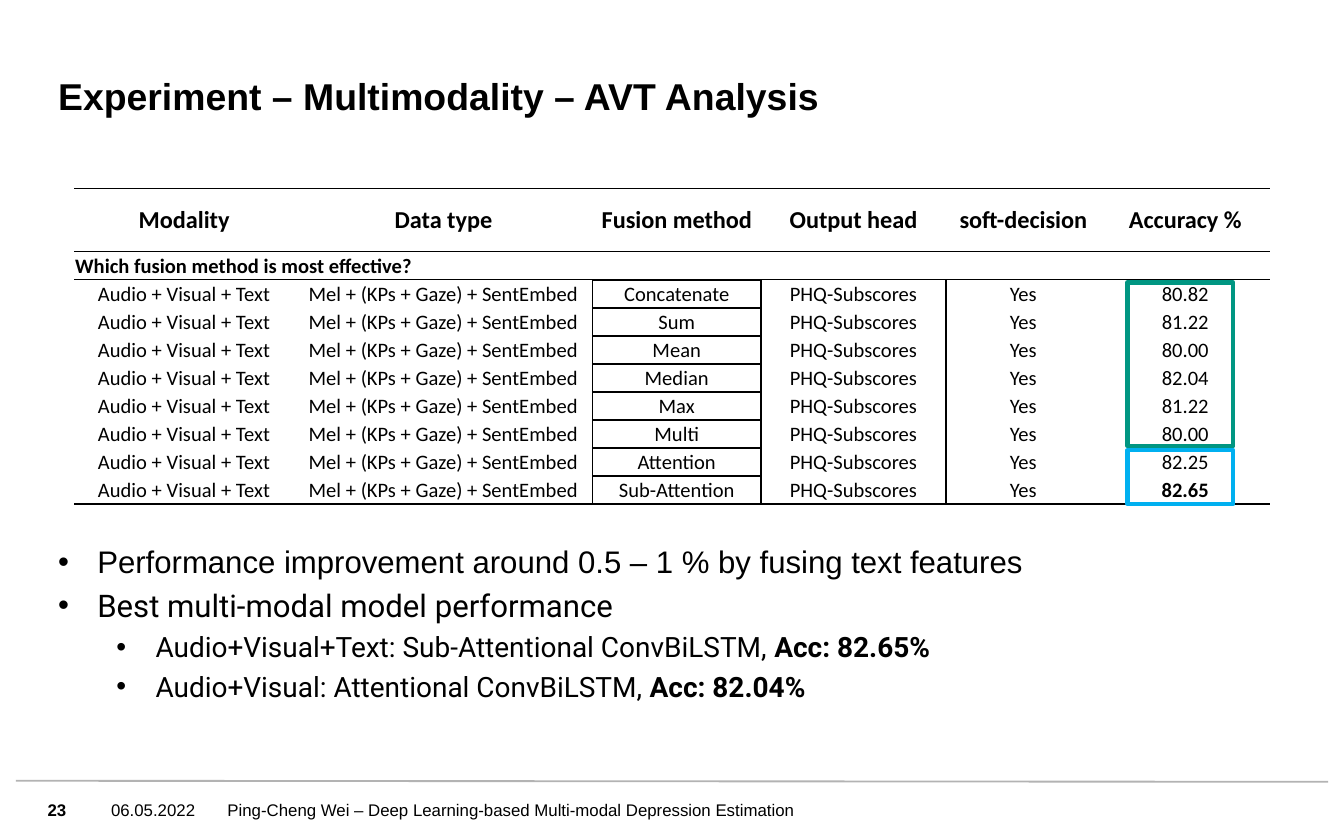
"""Build the slide on multimodal fusion results: a table, two highlights and takeaways."""
from lxml.etree import SubElement
from pptx import Presentation
from pptx.dml.color import RGBColor
from pptx.enum.shapes import MSO_CONNECTOR as Connector, MSO_SHAPE as Shape
from pptx.enum.text import MSO_ANCHOR as Anchor, PP_ALIGN as Align
from pptx.oxml.ns import qn
from pptx.util import Cm, Pt

COLORS = {"text": "000000", "rule": "B3B3B3", "green": "009682", "blue": "00B0F0"}
NO_STYLE = "{2D5ABB26-0587-4C30-8999-92F81FD0307C}"


def style_font(font, size, name="Arial", bold=False):
    font.size, font.name, font.bold = Pt(size), name, bold
    font.color.rgb = RGBColor.from_string(COLORS["text"])


def add_text_box(left, top, width, height, anchor):
    box = page.shapes.add_textbox(Cm(left), Cm(top), Cm(width), Cm(height))
    frame = box.text_frame
    frame.word_wrap = True
    frame.vertical_anchor = anchor
    frame.margin_left = frame.margin_right = frame.margin_top = frame.margin_bottom = 0
    return frame


deck = Presentation()
deck.slide_width, deck.slide_height = Cm(25.4), Cm(15.88)
page = deck.slides.add_slide(deck.slide_layouts[6])

footer_rule = page.shapes.add_connector(
    Connector.STRAIGHT, Cm(0.3), Cm(14.76), Cm(25.1), Cm(14.78))
footer_rule.line.color.rgb = RGBColor.from_string(COLORS["rule"])
footer_rule.line.width = Pt(1)
SubElement(footer_rule._element.spPr, qn("a:effectLst"))

single_lines = [
    ("Ping-Cheng Wei – Deep Learning-based Multi-modal Depression Estimation",
     4.3, 14.81, 13.2, 0.99, Anchor.MIDDLE, 9, False),
    ("06.05.2022", 2.1, 14.81, 2.1, 0.99, Anchor.MIDDLE, 9, False),
    ("23", 0.9, 14.81, 0.9, 0.99, Anchor.MIDDLE, 9, True),
    ("Experiment – Multimodality – AVT Analysis",
     1.1, 0.94, 19.2, 1.3, Anchor.BOTTOM, 20, True),
]
for text, left, top, width, height, anchor, size, bold in single_lines:
    para = add_text_box(left, top, width, height, anchor).paragraphs[0]
    para.text = text
    style_font(para.font, size, bold=bold)

takeaways = [
    (0, "Arial", "Performance improvement around 0.5 – 1 % by fusing text features", ""),
    (0, "Roboto", "Best multi-modal model performance", ""),
    (1, "Roboto", "Audio+Visual+Text: Sub-Attentional ConvBiLSTM, ", "Acc: 82.65%"),
    (1, "Roboto", "Audio+Visual: Attentional ConvBiLSTM, ", "Acc: 82.04%"),
]
takeaway_frame = add_text_box(1.1, 10.26, 23.2, 3.9, Anchor.TOP)
for index, (level, font_name, text, accuracy) in enumerate(takeaways):
    para = takeaway_frame.add_paragraph() if index else takeaway_frame.paragraphs[0]
    para.level = level
    properties = para._p.get_or_add_pPr()
    properties.set("marL", str(Cm((0.74, 1.84)[level])))
    properties.set("indent", str(Cm(-0.74)))
    SubElement(properties, qn("a:buFont"), typeface="Arial")
    SubElement(properties, qn("a:buChar"), char="•")
    if index:
        para.space_before = Pt(3.3)
    style_font(para.font, (16.7, 15)[level], font_name)
    para.add_run().text = text
    if accuracy:
        span = para.add_run()
        span.text = accuracy
        span.font.bold = True

headers = ["Modality", "Data type", "Fusion method", "Output head",
           "soft-decision", "Accuracy %"]
results = [("Concatenate", "80.82"), ("Sum", "81.22"), ("Mean", "80.00"),
           ("Median", "82.04"), ("Max", "81.22"), ("Multi", "80.00"),
           ("Attention", "82.25"), ("Sub-Attention", "82.65")]
rows = [headers, ["Which fusion method is most effective?"] + [""] * 5]
rows += [["Audio + Visual + Text", "Mel + (KPs + Gaze) + SentEmbed", method,
          "PHQ-Subscores", "Yes", accuracy] for method, accuracy in results]
last_row = len(rows) - 1
column_widths = [4.16, 5.64, 3.18, 3.5, 2.92, 3.2]
row_heights = [1.2] + [0.53] * last_row

table = page.shapes.add_table(
    len(rows), len(headers), Cm(1.4), Cm(3.56),
    Cm(sum(column_widths)), Cm(sum(row_heights))).table
table.first_row = table.horz_banding = False
table._tbl.tblPr.find(qn("a:tableStyleId")).text = NO_STYLE
for column, width in zip(table.columns, column_widths):
    column.width = Cm(width)
for row, height in zip(table.rows, row_heights):
    row.height = Cm(height)
table.cell(1, 0).merge(table.cell(1, 5))

for row_index, row in enumerate(rows):
    for column_index, text in enumerate(row):
        cell = table.cell(row_index, column_index)
        cell.vertical_anchor = Anchor.MIDDLE
        cell.margin_left = cell.margin_right = cell.margin_top = Cm(0.02)
        cell.margin_bottom = 0
        if row_index == 0:
            borders = {"T": 1, "B": 0.5}
        elif row_index == 1:
            borders = {"T": 0.5}
        else:
            sides = {1: "R", 2: "LRTB", 3: "L"}.get(column_index, "")
            if row_index == last_row and "B" not in sides:
                sides += "B"
            borders = dict.fromkeys(sides, 1)
        for side, width in borders.items():
            edge = SubElement(cell._tc.get_or_add_tcPr(), qn(f"a:ln{side}"), w=str(Pt(width)))
            fill = SubElement(edge, qn("a:solidFill"))
            SubElement(fill, qn("a:srgbClr"), val=COLORS["text"])
        cell.fill.background()
        para = cell.text_frame.paragraphs[0]
        para.text = text
        para.alignment = Align.LEFT if row_index == 1 else Align.CENTER
        best = row_index == last_row and column_index == len(headers) - 1
        style_font(para.font, 11 if row_index else 13, "Calibri", row_index < 2 or best)

for color, top, height in [("green", 5.34, 3.1), ("blue", 8.51, 1.02)]:
    highlight = page.shapes.add_shape(Shape.RECTANGLE, Cm(21.31), Cm(top), Cm(2), Cm(height))
    highlight.shadow.inherit = False
    highlight.fill.background()
    highlight.line.color.rgb = RGBColor.from_string(COLORS[color])
    highlight.line.width = Pt(2.25)

deck.save("out.pptx")
